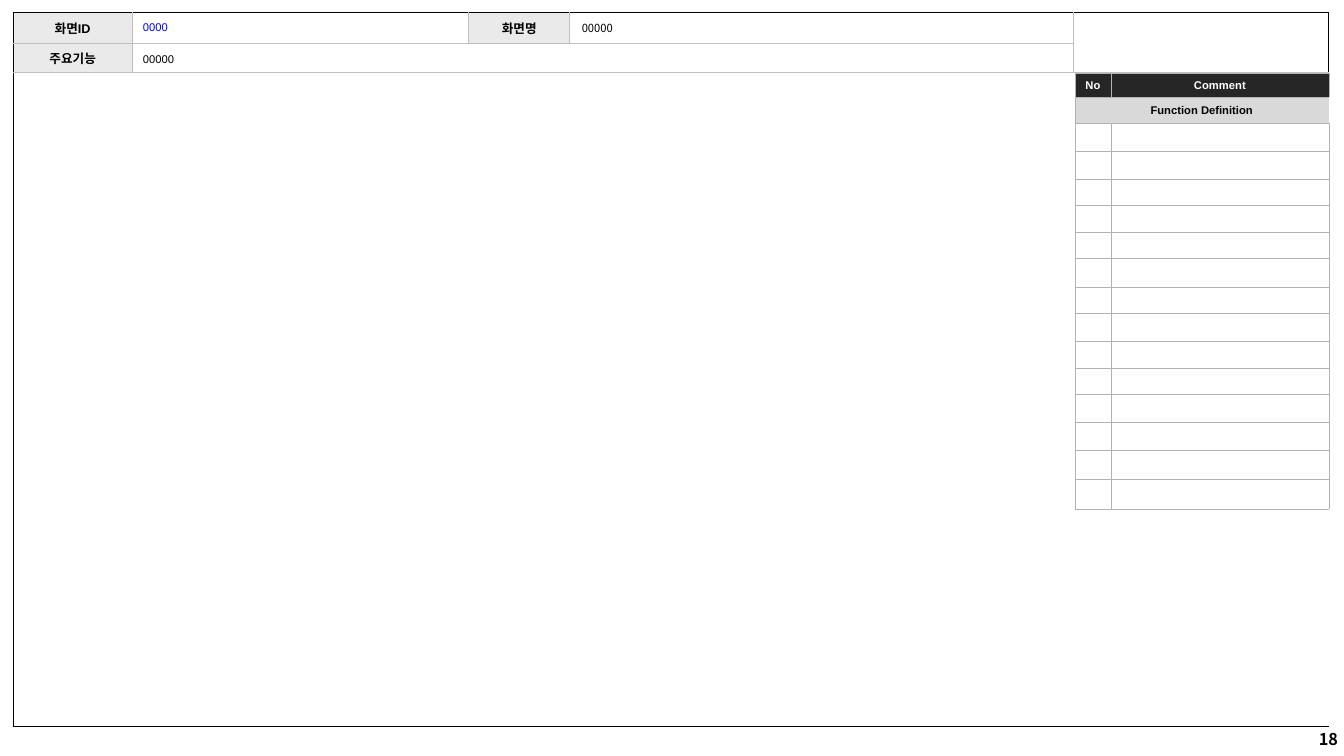
from lxml.etree import SubElement
from pptx import Presentation
from pptx.dml.color import RGBColor
from pptx.enum.text import MSO_ANCHOR as Anchor, PP_ALIGN as Align
from pptx.oxml import parse_xml
from pptx.oxml.ns import nsdecls, qn
from pptx.util import Inches, Pt

NO_STYLE = "{2D5ABB26-0587-4C30-8999-92F81FD0307C}"


def color(value):
    return RGBColor.from_string(value)


class ScreenSpec:
    latin = "Arial"
    korean = "Noto Sans CJK KR"
    black, white, gray = "000000", "FFFFFF", "BFBFBF"

    def __init__(self, presentation):
        self.slide = presentation.slides.add_slide(presentation.slide_layouts[5])

    def format_text(self, paragraph, size=8, font=None, ink=black, bold=False, align=Align.LEFT):
        paragraph.alignment = align
        for run in paragraph.runs:
            run.font.size = Pt(size)
            run.font.name = font or self.latin
            run.font.bold = bold
            run.font.color.rgb = color(ink)
            east_asian = SubElement(run.font._element, qn("a:ea"))
            east_asian.set("typeface", self.korean)

    def title(self, text, left, top, width, height):
        shape = self.slide.shapes.title
        shape.left, shape.top = Inches(left), Inches(top)
        shape.width, shape.height = Inches(width), Inches(height)
        frame = shape.text_frame
        frame.text = text
        frame.vertical_anchor = Anchor.MIDDLE
        frame.margin_left = frame.margin_right = Inches(0.12)
        frame.margin_top = frame.margin_bottom = Inches(0.06)
        self.format_text(frame.paragraphs[0], font=self.korean)

    def text(self, text, left, top, width, height, spacing=1.0, **style):
        shape = self.slide.shapes.add_textbox(
            Inches(left), Inches(top), Inches(width), Inches(height))
        frame = shape.text_frame
        frame.word_wrap = True
        frame.text = text
        frame.paragraphs[0].line_spacing = spacing
        self.format_text(frame.paragraphs[0], **style)

    def table(self, left, top, columns, rows, merges=()):
        frame = self.slide.shapes.add_table(
            len(rows), len(columns), Inches(left), Inches(top),
            Inches(sum(columns)), Inches(sum(rows)))
        table = frame.table
        table.first_row = table.horz_banding = False
        table._tbl.tblPr.find(qn("a:tableStyleId")).text = NO_STYLE
        for column, width in zip(table.columns, columns):
            column.width = Inches(width)
        for row, height in zip(table.rows, rows):
            row.height = Inches(height)
        for first, last in merges:
            table.cell(*first).merge(table.cell(*last))
        for cell in table.iter_cells():
            cell.margin_left = cell.margin_right = Inches(0.05)
            cell.margin_top = cell.margin_bottom = Inches(0.02)
            cell.vertical_anchor = Anchor.MIDDLE
            end = cell.text_frame.paragraphs[0]._p.get_or_add_endParaRPr()
            end.set("sz", "800")
            self.fill(cell, self.white)
        return table

    def fill(self, cell, value):
        cell.fill.solid()
        cell.fill.fore_color.rgb = color(value)

    def label(self, cell, text, background, size=8, ink=black, spacing=1.0):
        cell.text = text
        self.fill(cell, background)
        paragraph = cell.text_frame.paragraphs[0]
        paragraph.space_before = Pt(size * 0.2)
        paragraph.line_spacing = spacing
        self.format_text(paragraph, size=size, ink=ink, bold=True, align=Align.CENTER)

    def borders(self, table, merges, inner, outer):
        last_row, last_column = len(table.rows) - 1, len(table.columns) - 1

        def region(row, column):
            for first, last in merges:
                if first[0] <= row <= last[0] and first[1] <= column <= last[1]:
                    return first
            return row, column

        for row in range(last_row + 1):
            for column in range(last_column + 1):
                properties = table.cell(row, column)._tc.get_or_add_tcPr()
                edges = (("lnL", 0, -1), ("lnR", 0, 1), ("lnT", -1, 0), ("lnB", 1, 0))
                position = 0
                for tag, down, across in edges:
                    neighbour = row + down, column + across
                    if region(*neighbour) == region(row, column):
                        continue
                    inside = 0 <= neighbour[0] <= last_row and 0 <= neighbour[1] <= last_column
                    value, width = inner if inside else outer
                    properties.insert(position, parse_xml(
                        f'<a:{tag} {nsdecls("a")} w="{Pt(width)}"><a:solidFill>'
                        f'<a:srgbClr val="{value}"/></a:solidFill></a:{tag}>'))
                    position += 1

    def screen_frame(self):
        merges = [((0, 4), (1, 4)), ((1, 1), (1, 3)), ((2, 0), (2, 4))]
        table = self.table(0.13, 0.12, [1.18, 3.34, 1, 5, 2.53], [0.31, 0.29, 6.49], merges)
        for position, text in (((0, 0), "화면ID"), ((0, 2), "화면명"), ((1, 0), "주요기능")):
            self.label(table.cell(*position), text, "EAEAEA", size=9)
        self.borders(table, merges, (self.gray, 0.5), (self.black, 1))

    def comment_table(self):
        merges = [((1, 0), (1, 1))]
        rows = [0.23, 0.26, 0.28, 0.28, 0.26, 0.26, 0.26, 0.29,
                0.26, 0.28, 0.26, 0.26, 0.28, 0.28, 0.29, 0.29]
        table = self.table(10.66, 0.73, [0.36, 2.16], rows, merges)
        self.label(table.cell(0, 0), "No", "262626", ink=self.white, spacing=1.1)
        self.label(table.cell(0, 1), "Comment", "262626", ink=self.white, spacing=1.1)
        self.label(table.cell(1, 0), "Function Definition", "D9D9D9", spacing=1.1)
        line = ("B2B2B2", 0.25)
        self.borders(table, merges, line, line)


def main():
    presentation = Presentation()
    presentation.slide_width = Inches(13.33)
    presentation.slide_height = Inches(7.5)
    screen = ScreenSpec(presentation)
    screen.screen_frame()
    screen.text("18", 12.87, 7.01, 0.5, 0.47, spacing=1.9, size=11.6,
                font=screen.korean, bold=True, align=Align.RIGHT)
    screen.text("00000", 1.32, 0.47, 9.33, 0.24)
    screen.text("0000", 1.32, 0.15, 3.3, 0.24, ink="0000FF")
    screen.title("00000", 5.65, 0.14, 5.01, 0.28)
    title = screen.slide.shapes.title._element
    title.getparent().append(title)
    screen.comment_table()
    presentation.save("out.pptx")


if __name__ == "__main__":
    main()
